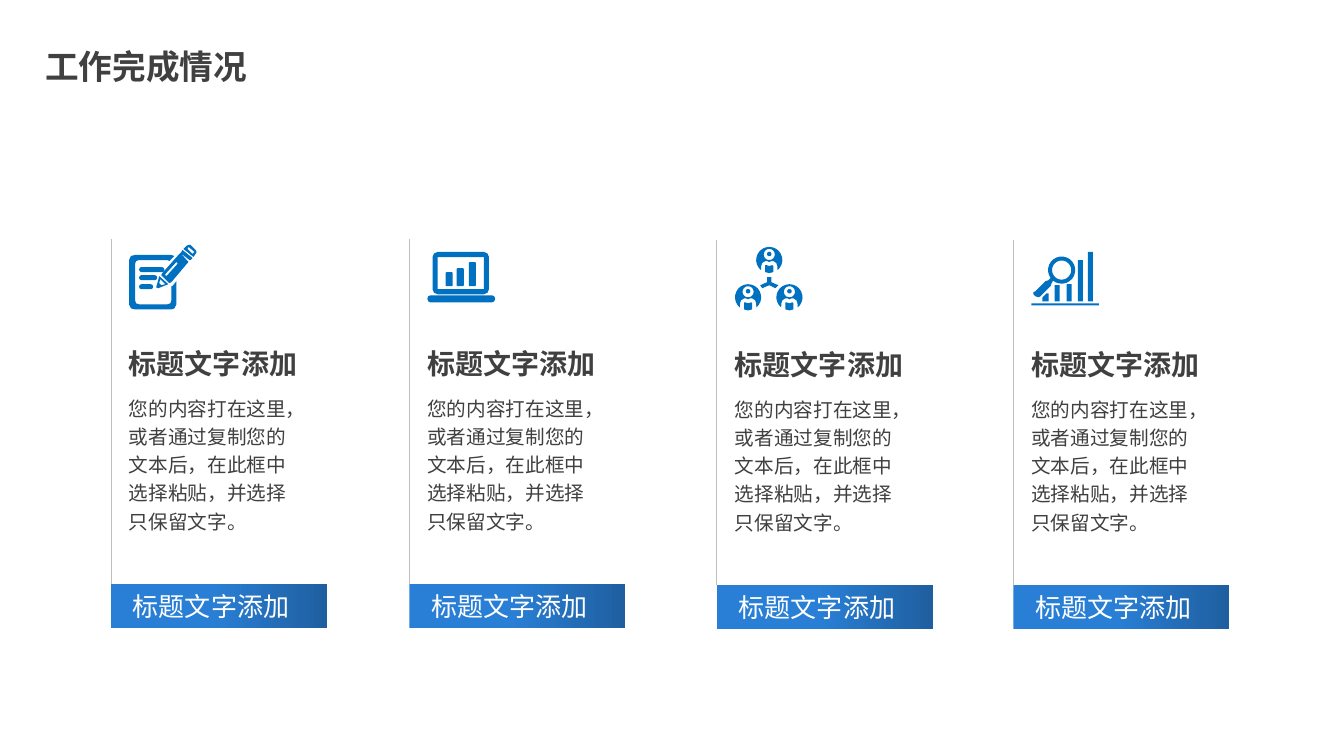
from math import cos, radians, sin

from lxml import etree
from pptx import Presentation
from pptx.dml.color import RGBColor
from pptx.enum.shapes import MSO_CONNECTOR, MSO_SHAPE
from pptx.enum.text import MSO_ANCHOR, MSO_AUTO_SIZE, PP_ALIGN
from pptx.oxml.ns import qn
from pptx.util import Inches, Pt

BLUE = RGBColor(0x00, 0x70, 0xC0)
BAND_LIGHT = RGBColor(0x29, 0x7F, 0xD5)
BAND_DARK = RGBColor(0x1F, 0x5F, 0xA0)
INK = RGBColor(0x40, 0x40, 0x40)
RULE = RGBColor(0xBF, 0xBF, 0xBF)
WHITE = RGBColor(0xFF, 0xFF, 0xFF)
CJK_FONT = "Noto Sans CJK SC"

CARD_HEADING = "标题文字添加"
CARD_BODY = "您的内容打在这里，或者通过复制您的文本后，在此框中选择粘贴，并选择只保留文字。"
CARD_WIDTH, BAND_HEIGHT, RULE_HEIGHT = 2.14, 0.44, 3.42
UNIT = 0.01  # icon grid step in inches; an icon is 67 steps wide
FINENESS = 10  # outline points per grid step


def style_text(box, text, size, color, bold=False, font="Arial", spacing=None, wrap=True):
    frame = box.text_frame
    frame.text = text
    frame.word_wrap = wrap
    frame.auto_size = MSO_AUTO_SIZE.SHAPE_TO_FIT_TEXT
    frame.vertical_anchor = MSO_ANCHOR.TOP
    para = frame.paragraphs[0]
    para.alignment = PP_ALIGN.LEFT
    if spacing:
        para.line_spacing = spacing
    span = para.runs[0]
    span.font.name = font
    span.font.size = Pt(size)
    span.font.bold = bold
    span.font.color.rgb = color
    east_asian = etree.SubElement(span.font._element, qn("a:ea"))
    east_asian.set("typeface", CJK_FONT)


def add_text(card, left, top, width, height, *style, **options):
    box = card.shapes.add_textbox(Inches(left), Inches(top), Inches(width), Inches(height))
    style_text(box, *style, **options)


# Contours on the icon grid; a contour inside another one is a hole
def arc(x, y, radius, start, end, steps):
    angles = [radians(start + (end - start) * step / steps) for step in range(steps + 1)]
    return [(x + radius * cos(angle), y + radius * sin(angle)) for angle in angles]


def circle(x, y, radius):
    return arc(x, y, radius, 0, 345, 23)


def bar(x, y, width, height, radius=0):
    if not radius:
        return [(x, y), (x + width, y), (x + width, y + height), (x, y + height)]
    inner = bar(x + radius, y + radius, width - 2 * radius, height - 2 * radius, 0)
    return [point for turn, corner in enumerate(inner)
            for point in arc(*corner, radius, 180 + 90 * turn, 270 + 90 * turn, 2)]


def notepad_contours():
    frame = [(42, 10), (45, 11), (40, 16), (38, 15), (10, 15), (7, 16), (6, 19), (6, 55),
             (7, 58), (10, 59), (38, 59), (41, 58), (42, 55), (42, 41), (43, 41), (47, 36),
             (47, 59), (45, 63), (42, 64), (6, 64), (2, 63), (0, 59), (0, 15), (2, 11), (6, 10)]
    lines = [bar(10, y, width, 5, 2.4) for y, width in ((22, 25), (30, 18), (39, 14))]
    tip = [(30, 31), (39, 39), (29, 43), (27, 42)]
    tip_hole = [(31, 34), (36, 39), (32, 40), (30, 38)]
    body = [(51, 8), (59, 17), (58, 18), (42, 37), (40, 38), (32, 30), (33, 28), (49, 10)]
    body_hole = [(47, 17), (48, 18), (48, 19), (38, 30), (37, 31), (36, 30), (36, 29)]
    collar = [(53, 5), (63, 13), (61, 15), (60, 15), (51, 8), (52, 7)]
    eraser = [(54, 4), (57, 1), (59, 0), (61, 0), (66, 5), (67, 7), (66, 9), (64, 12)]
    eraser_hole = [(59, 2), (58, 4), (63, 9), (65, 7)]
    return [frame, *lines, tip, tip_hole, body, body_hole, collar, eraser, eraser_hole]


def laptop_contours():
    bars = [bar(x, y, 7, 34 - y, 1) for x, y in ((18, 20), (29, 16), (41, 10))]
    return [bar(5, 0, 56, 42, 5), bar(10, 5, 46, 32), *bars, bar(0, 43, 67, 7, 3)]


def team_contours():
    contours = [[(32, 30), (36, 30), (36, 35), (43, 38), (40, 41),
                 (34, 38), (27, 41), (25, 38), (32, 35)]]
    collar = [(-8, 6), (-7, 3), (-4, 1), (-2, 1), (0, 2), (2, 1), (4, 1), (7, 3), (8, 6)]
    chest = [(-4, 5), (-3, 5), (0, 6), (3, 5), (4, 6), (4, 12), (0, 13), (-4, 12)]
    for x, y in ((34, 13), (13, 50), (54, 50)):
        neckline, torso = ([(x + dx, y + dy) for dx, dy in part] for part in (collar, chest))
        disc = arc(x, y, 13, 129, 411, 18) + neckline[::-1]
        if disc[0][0] < x:
            disc = arc(x, y, 13, 129, 411, 18) + neckline[::-1]
        contours += [disc, circle(x, y - 5.5, 5.5), circle(x, y - 6, 2.2), torso]
    return contours


def analysis_contours():
    stub = [(11, 45), (15, 41), (17, 41), (17, 49), (11, 49)]
    bars = [bar(x, y, 5, 49 - y) for x, y in ((23, 33), (35, 32), (46, 8), (56, 0))]
    handle = [(20, 31), (19, 34), (9, 44), (7, 45), (4, 44), (2, 42), (2, 40), (4, 39),
              (14, 29), (17, 28)]
    lens = arc(30, 18, 13.5, 144, 489, 23) + handle
    return [bar(0, 51, 67, 2), stub, *bars, lens, circle(30, 18, 9.5)]


def add_icon(card, left, top, contours):
    fine = [[(x * FINENESS, y * FINENESS) for x, y in contour] for contour in contours]
    builder = card.shapes.build_freeform(*fine[0][0], scale=Inches(UNIT) / FINENESS)
    for index, contour in enumerate(fine):
        if index:
            builder.move_to(*contour[0])
        builder.add_line_segments(contour[1:], close=True)
    icon = builder.convert_to_shape(Inches(left), Inches(top))
    icon.shadow.inherit = False
    icon.fill.solid()
    icon.fill.fore_color.rgb = BLUE
    icon.line.fill.background()


def add_card(page, left, top, contours, icon_drop):
    card = page.shapes.add_group_shape()
    band_top = top + RULE_HEIGHT

    # Side rule
    rule = card.shapes.add_connector(
        MSO_CONNECTOR.STRAIGHT, Inches(left), Inches(top), Inches(left), Inches(band_top))
    rule.line.color.rgb = RULE
    rule.line.width = Pt(0.5)
    etree.SubElement(rule._element.spPr, qn("a:effectLst"))

    # Gradient band
    band = card.shapes.add_shape(
        MSO_SHAPE.RECTANGLE, Inches(left), Inches(band_top),
        Inches(CARD_WIDTH), Inches(BAND_HEIGHT))
    band.shadow.inherit = False
    band.line.fill.background()
    band.fill.gradient()
    band.fill.gradient_angle = 0
    for stop, position, color in zip(
            band.fill.gradient_stops, (0.47, 1), (BAND_LIGHT, BAND_DARK)):
        stop.position = position
        stop.color.rgb = color

    # Heading, body, icon and band label
    add_text(card, left + 0.08, top + 1.02, 2.06, 0.44, CARD_HEADING, 20, INK, bold=True)
    add_text(card, left + 0.08, top + 1.47, 1.8, 1.49, CARD_BODY, 14, INK, spacing=1.2)
    add_icon(card, left + 0.18, top + icon_drop, contours)
    add_text(card, left + 0.12, band_top + 0.02, 2.06, 0.42, CARD_HEADING, 18.6, WHITE)


def add_title(page, text):
    title = page.shapes.title
    title.left, title.top = Inches(0.35), Inches(0.41)
    title.width, title.height = Inches(2.22), Inches(0.5)
    style_text(title, text, 24, INK, bold=True, font=CJK_FONT, wrap=False)


def main():
    deck = Presentation()
    deck.slide_width, deck.slide_height = Inches(13.33), Inches(7.5)
    page = deck.slides.add_slide(deck.slide_layouts[5])
    add_title(page, "工作完成情况")
    for card in ((1.1, 2.37, notepad_contours(), 0.06), (4.06, 2.37, laptop_contours(), 0.13),
                 (7.11, 2.38, team_contours(), 0.07), (10.05, 2.38, analysis_contours(), 0.12)):
        add_card(page, *card)
    deck.save("out.pptx")


if __name__ == "__main__":
    main()
